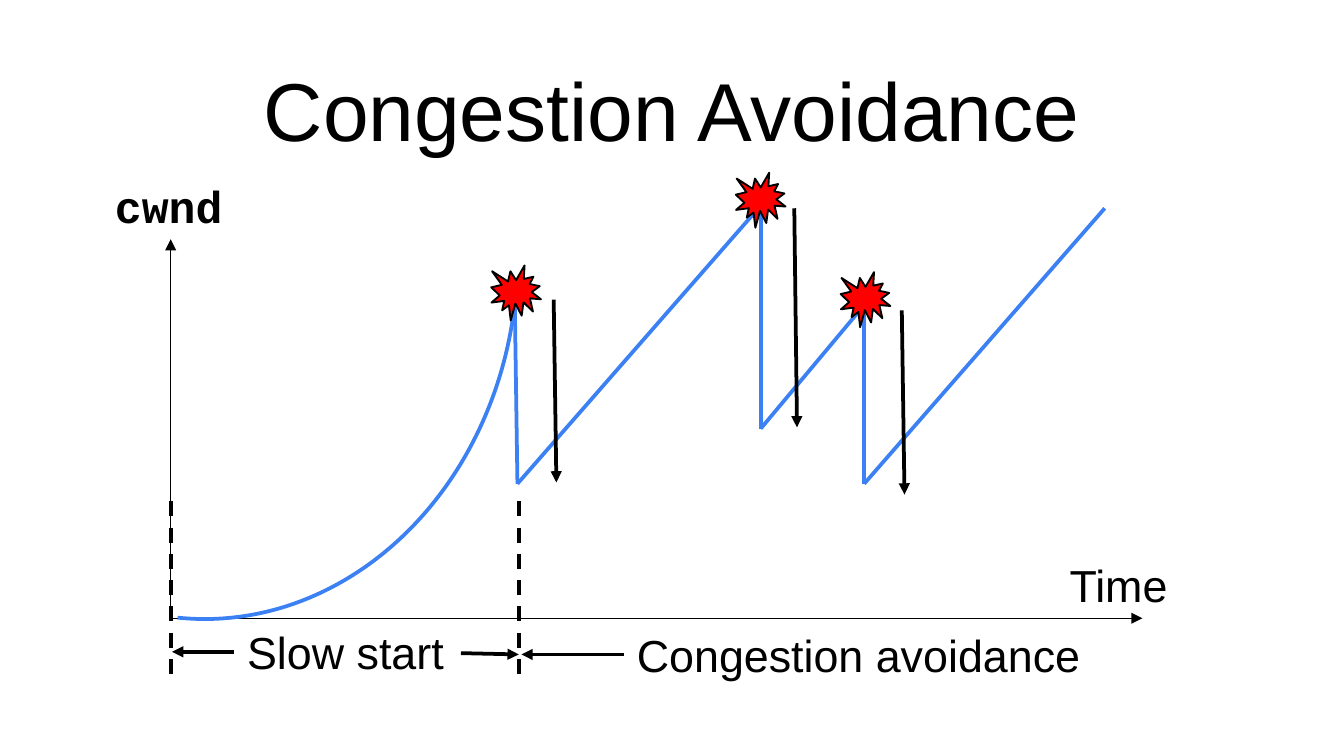
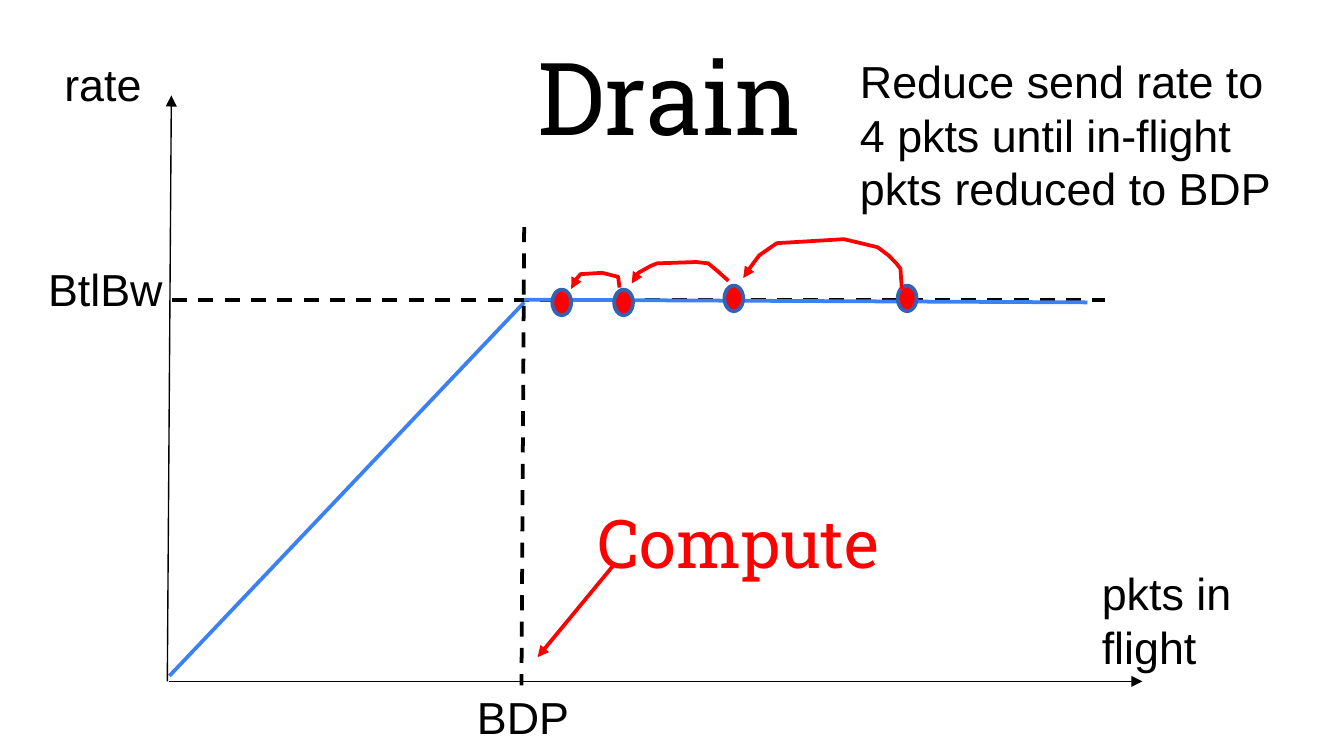
from dataclasses import dataclass
from itertools import pairwise

from lxml import etree
from pptx import Presentation
from pptx.dml.color import RGBColor
from pptx.enum.dml import MSO_LINE
from pptx.enum.shapes import MSO_CONNECTOR, MSO_SHAPE
from pptx.enum.text import MSO_ANCHOR, MSO_AUTO_SIZE, PP_ALIGN
from pptx.oxml.ns import qn
from pptx.util import Inches, Pt

BLACK = RGBColor(0x00, 0x00, 0x00)
RED = RGBColor(0xFF, 0x00, 0x00)
BLUE = RGBColor(0x3C, 0x81, 0xF3)
DOT_EDGE = RGBColor(0x31, 0x62, 0xB5)

SANS, MONO, SLAB = "Arial", "Courier New", "Roboto Slab"
LEFT, CENTER = PP_ALIGN.LEFT, PP_ALIGN.CENTER
TOP, MIDDLE = MSO_ANCHOR.TOP, MSO_ANCHOR.MIDDLE
STRAIGHT = MSO_CONNECTOR.STRAIGHT
DASH = MSO_LINE.DASH
ARC, BURST, DOT = MSO_SHAPE.ARC, MSO_SHAPE.EXPLOSION1, MSO_SHAPE.OVAL
TITLE_ONLY = 5


@dataclass
class Plot:
    """Plot area on a slide; points run right and up from its lower left corner."""
    s: object
    left: float
    top: float
    width: float
    height: float

    def at(self, x, y):
        return Inches(self.left + x), Inches(self.top + self.height - y)


def write(tf, text, font=SANS, size=24, color=BLACK, bold=False, align=LEFT,
          anchor=TOP, wrap=False, insets=(0.1, 0.05)):
    tf.auto_size = MSO_AUTO_SIZE.NONE
    tf.word_wrap = wrap
    tf.vertical_anchor = anchor
    tf.margin_left = tf.margin_right = Inches(insets[0])
    tf.margin_top = tf.margin_bottom = Inches(insets[1])
    for i, line in enumerate(text.split("\n")):
        p = tf.add_paragraph() if i else tf.paragraphs[0]
        p.alignment = align
        r = p.add_run()
        r.text = line
        r.font.name = font
        r.font.size = Pt(size)
        r.font.bold = bold
        r.font.color.rgb = color


def add_title(s, text, box, **fmt):
    title = s.shapes.title
    title.left, title.top, title.width, title.height = map(Inches, box)
    write(title.text_frame, text, align=CENTER, wrap=True, **fmt)


def add_label(plot, text, x, y, w, h=0.5, **fmt):
    tb = plot.s.shapes.add_textbox(*plot.at(x, y), Inches(w), Inches(h))
    write(tb.text_frame, text, **fmt)


def style_line(sp, color, width, dash=None, arrow=False):
    sp.line.color.rgb = color
    sp.line.width = Pt(width)
    if dash:
        sp.line.dash_style = dash
    if arrow:
        ln = sp._element.spPr.find(qn("a:ln"))
        etree.SubElement(ln, qn("a:tailEnd"), type="triangle")


def add_line(plot, start, end, color=BLACK, width=2, **fmt):
    c = plot.s.shapes.add_connector(STRAIGHT, *plot.at(*start), *plot.at(*end))
    style_line(c, color, width, **fmt)
    etree.SubElement(c._element.spPr, qn("a:effectLst"))


def add_marker(plot, kind, center, w, h, fill, edge, width):
    """Preset shape centred on a plot point."""
    x, y = center
    sp = plot.s.shapes.add_shape(kind, *plot.at(x - w / 2, y + h / 2), Inches(w), Inches(h))
    sp.shadow.inherit = False
    if fill is None:
        sp.fill.background()
    else:
        sp.fill.solid()
        sp.fill.fore_color.rgb = fill
    style_line(sp, edge, width)
    return sp


def add_hop(plot, points):
    start, *rest = [plot.at(*pt) for pt in points]
    fb = plot.s.shapes.build_freeform(*start)
    fb.add_line_segments(rest, close=False)
    sp = fb.convert_to_shape()
    sp.shadow.inherit = False
    sp.fill.background()
    style_line(sp, RED, 2, arrow=True)


def add_axes(plot, lean=0):
    add_line(plot, (-lean / 2, 0), (lean / 2, plot.height), width=0.75, arrow=True)
    add_line(plot, (0, 0), (plot.width, 0), width=0.75, arrow=True)


def draw_window(plot):
    """Exponential growth, then a sawtooth with a loss at each peak."""
    growth = add_marker(plot, ARC, (0.32, 2.6), 5.22, 4.51, None, BLUE, 2)
    growth.rotation = 95.9
    sawtooth = [(2.56, 2.37), (2.58, 1), (4.39, 3.07), (4.39, 1.41),
                (5.16, 2.33), (5.16, 1), (6.95, 3.05)]
    for start, end in pairwise(sawtooth):
        add_line(plot, start, end, BLUE)
    for loss in [(2.57, 2.42), (4.39, 3.11), (5.17, 2.37)]:
        add_marker(plot, BURST, loss, 0.37, 0.41, RED, BLACK, 1)
    for x, high, low in [(2.85, 2.37, 1.01), (4.64, 3.05, 1.42), (5.44, 2.29, 0.92)]:
        add_line(plot, (x, high), (x + 0.02, low), arrow=True)


def draw_phases(plot, boundary=2.59):
    for x in (boundary, 0):
        add_line(plot, (x, 0.87), (x, -0.46), dash=DASH)
    add_label(plot, "Slow start", 0.47, 0, 1.68)
    add_line(plot, (0.47, -0.25), (0.01, -0.25), arrow=True)
    add_line(plot, (2.16, -0.26), (boundary, -0.27), arrow=True)
    add_label(plot, "Congestion avoidance", 3.37, -0.02, 3.54)
    add_line(plot, (3.37, -0.27), (boundary + 0.02, -0.27), arrow=True)


def congestion_slide(s):
    add_title(s, "Congestion Avoidance", (0.34, 0.49, 9.32, 0.63), size=44,
              anchor=MIDDLE, insets=(0, 0))
    plot = Plot(s, 1.27, 1.78, 7.23, 2.82)
    add_axes(plot)
    add_label(plot, "Time", 6.59, 0.5, 0.95)
    add_label(plot, "cwnd", -0.8, 3.32, 1.57, font=MONO, bold=True, align=CENTER, wrap=True)
    draw_window(plot)
    draw_phases(plot)


def draw_rate(plot, bdp=2.64, btlbw=2.84):
    """Delivery rate climbs to the bottleneck bandwidth and stays there."""
    add_line(plot, (0, 0.04), (bdp, btlbw - 0.02), BLUE)
    add_line(plot, (bdp, 3.38), (bdp - 0.02, -0.03), dash=DASH)
    add_line(plot, (0.02, btlbw), (6.96, btlbw), dash=DASH)
    add_line(plot, (bdp, btlbw), (6.83, btlbw - 0.02), BLUE)


def draw_drain(plot):
    """Packets in flight step back towards the BDP."""
    for center in [(5.49, 2.85), (4.2, 2.85), (3.38, 2.82), (2.92, 2.82)]:
        add_marker(plot, DOT, center, 0.14, 0.19, RED, DOT_EDGE, 2)
    add_hop(plot, [(5.45, 2.92), (5.44, 3.07), (5.41, 3.11), (5.35, 3.17), (5.27, 3.23),
                   (5.02, 3.29), (4.52, 3.26), (4.39, 3.17), (4.33, 3.09), (4.27, 3)])
    add_hop(plot, [(4.16, 2.98), (4.07, 3.06), (4.01, 3.11), (3.92, 3.12), (3.63, 3.11),
                   (3.58, 3.09), (3.49, 3.04), (3.44, 2.96)])
    add_hop(plot, [(3.35, 2.93), (3.34, 3.01), (3.22, 3.04), (3.06, 3.03),
                   (3.01, 2.97), (2.99, 2.92)])


def drain_slide(s):
    add_title(s, "Drain", (0.16, 0.16, 9.64, 1.16), font=SLAB, size=54, insets=(0.1, 0.1))
    plot = Plot(s, 1.26, 0.71, 7.24, 4.36)
    draw_rate(plot)
    add_axes(plot, lean=0.03)
    add_label(plot, "rate", -0.88, 4.7, 0.78)
    add_label(plot, "pkts in\nflight", 6.84, 0.91, 1.27, 0.91)
    add_label(plot, "BDP", 2.19, -0.01, 0.89)
    add_label(plot, "BtlBw", -1, 3.17, 1.06)
    draw_drain(plot)
    add_label(plot, "Compute", 2.19, 1.39, 4.09, 0.71, font=SLAB, size=36, color=RED,
              align=CENTER, wrap=True)
    add_line(plot, (3.31, 0.87), (2.74, 0.18), RED, arrow=True)
    add_label(plot, "Reduce send rate to 4 pkts until in-flight pkts reduced to BDP",
              5.04, 4.72, 3.32, 1.31, wrap=True)


def main():
    prs = Presentation()
    prs.slide_width = Inches(10)
    prs.slide_height = prs.slide_width * 9 // 16
    for build in (congestion_slide, drain_slide):
        build(prs.slides.add_slide(prs.slide_layouts[TITLE_ONLY]))
    prs.save("out.pptx")


if __name__ == "__main__":
    main()
